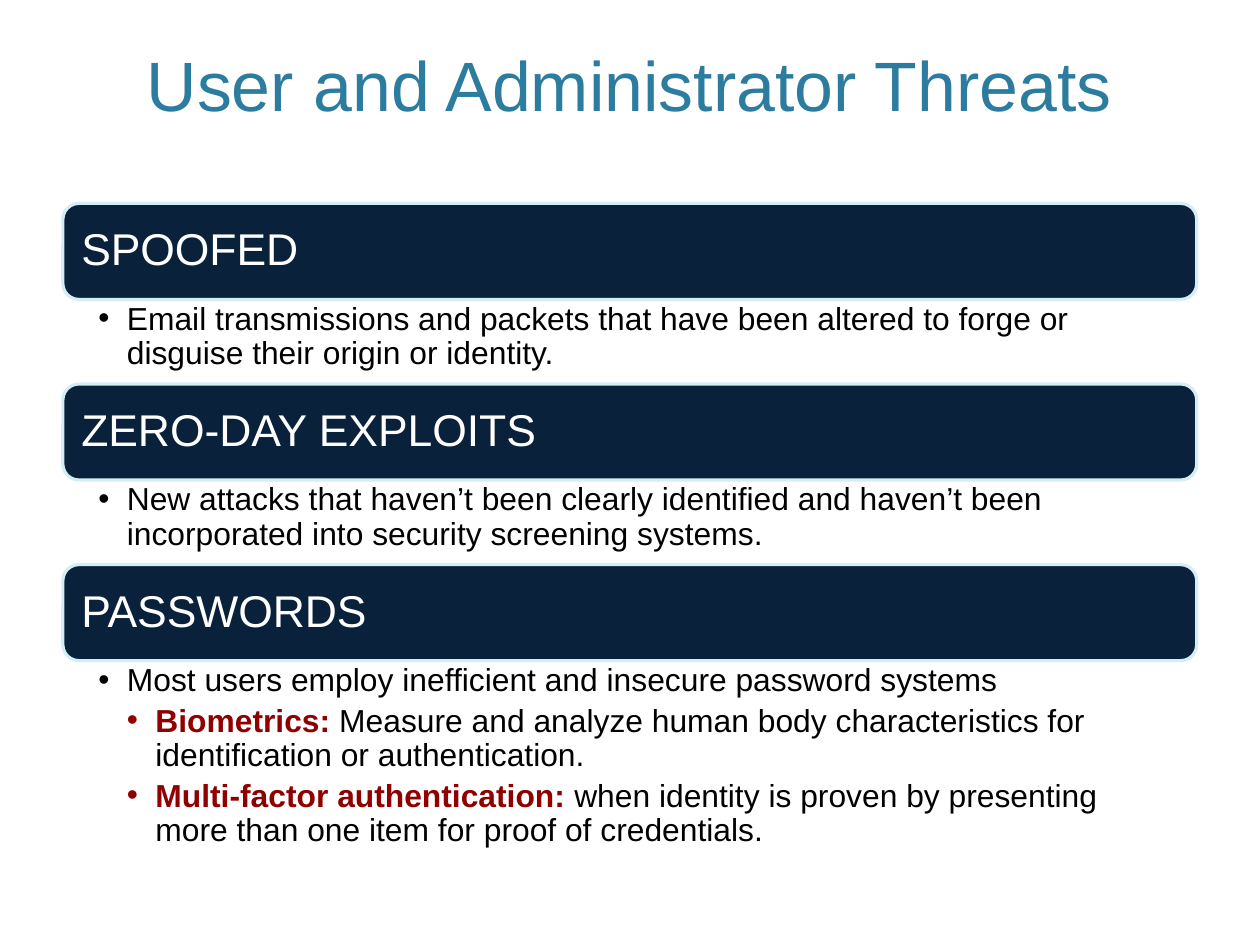
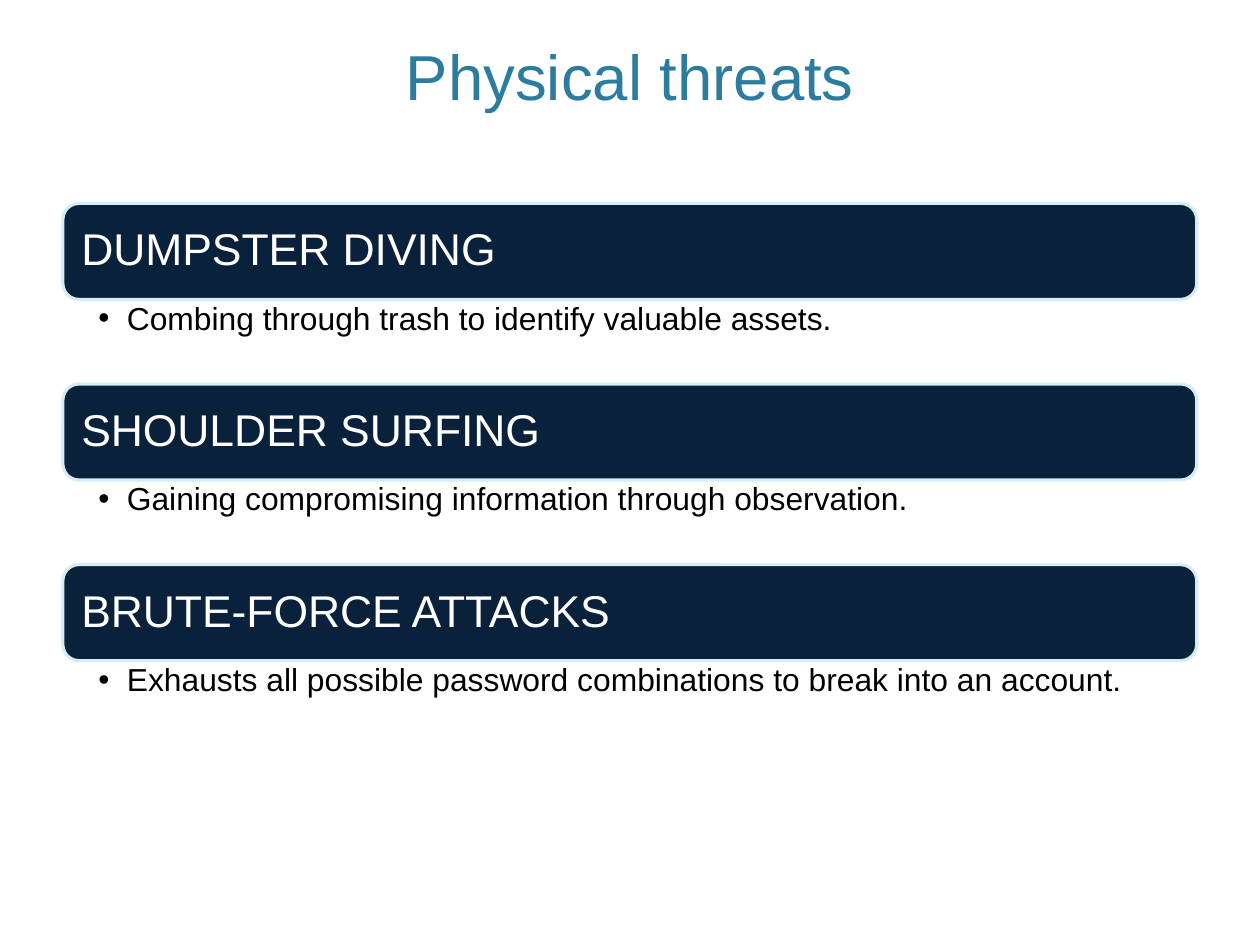
"""Builds two slides of security threats as headed bands with bulleted notes."""
from lxml.etree import SubElement
from pptx import Presentation
from pptx.dml.color import RGBColor
from pptx.enum.shapes import MSO_SHAPE as Shape
from pptx.enum.text import MSO_ANCHOR as Anchor, MSO_AUTO_SIZE as AutoSize, PP_ALIGN as Align
from pptx.oxml.ns import qn
from pptx.util import Cm, Inches, Pt

FONT = "Arial"
TEAL = RGBColor(0x2C, 0x7C, 0x9F)
NAVY = RGBColor(0x09, 0x21, 0x3B)
PALE = RGBColor(0xD5, 0xED, 0xF4)
RED = RGBColor(0x90, 0x00, 0x00)
BLACK = RGBColor(0, 0, 0)
WHITE = RGBColor(0xFF, 0xFF, 0xFF)

SLIDES = [
    {"title": "User and Administrator Threats", "size": 44, "title_top": -0.45, "threats": [
        ("SPOOFED", [(1, "", "Email transmissions and packets that have been altered to forge or "
                             "disguise their origin or identity.")]),
        ("ZERO-DAY EXPLOITS", [(1, "", "New attacks that haven’t been clearly identified and haven’t "
                                       "been incorporated into security screening systems.")]),
        ("PASSWORDS", [
            (1, "", "Most users employ inefficient and insecure password systems"),
            (2, "Biometrics:", " Measure and analyze human body characteristics for "
                               "identification or authentication."),
            (2, "Multi-factor authentication:", " when identity is proven by presenting "
                                                "more than one item for proof of credentials."),
        ]),
    ]},
    {"title": "Physical threats", "size": 40, "title_top": -0.56, "threats": [
        ("DUMPSTER DIVING", [(1, "", "Combing through trash to identify valuable assets.")]),
        ("SHOULDER SURFING", [(1, "", "Gaining compromising information through observation.")]),
        ("BRUTE-FORCE ATTACKS", [(1, "", "Exhausts all possible password combinations to break "
                                         "into an account.")]),
    ]},
]

LEFT, TOP, WIDTH = 0.55, 1.78, 9.92
BAND_HEIGHT, NOTE_HEIGHT, LONG_NOTE_HEIGHT = 0.84, 0.74, 1.72
INDENT = 0.25


def set_frame(frame, anchor, left, top, right, bottom):
    frame.word_wrap = True
    frame.auto_size = AutoSize.NONE
    frame.vertical_anchor = anchor
    frame.margin_left, frame.margin_top = Inches(left), Inches(top)
    frame.margin_right, frame.margin_bottom = Inches(right), Inches(bottom)


def set_font(font, size, color):
    font.name, font.size, font.color.rgb = FONT, Pt(size), color


def add_title(slide, text, size, top):
    title = slide.shapes.title
    title.left, title.top, title.width, title.height = map(Inches, (0.66, top, 9.7, 1.61))
    set_frame(title.text_frame, Anchor.BOTTOM, 0.11, 0.06, 0.11, 0.06)
    title.text_frame.text = text
    para = title.text_frame.paragraphs[0]
    para.alignment = Align.CENTER
    set_font(para.font, size, TEAL)


def add_band(slide, text, top):
    band = slide.shapes.add_shape(
        Shape.ROUNDED_RECTANGLE, *map(Inches, (LEFT, top, WIDTH, BAND_HEIGHT)))
    band.shadow.inherit = False
    band.fill.solid()
    band.fill.fore_color.rgb = NAVY
    band.line.color.rgb, band.line.width = PALE, Pt(2)
    set_frame(band.text_frame, Anchor.MIDDLE, 0.12, 0.12, 0.12, 0.12)
    band.text_frame.text = text
    para = band.text_frame.paragraphs[0]
    para.alignment, para.line_spacing = Align.LEFT, 0.9
    set_font(para.font, 28, WHITE)


def add_bullet(para, level, color):
    props = para._p.get_or_add_pPr()
    props.set("marL", str(Inches(INDENT * level)))
    props.set("indent", str(-Inches(INDENT)))
    SubElement(SubElement(props, qn("a:buClr")), qn("a:srgbClr"), val=str(color))
    SubElement(props, qn("a:buFont"), typeface=FONT)
    SubElement(props, qn("a:buChar"), char="•")


def add_notes(slide, notes, top, height):
    box = slide.shapes.add_textbox(*map(Inches, (LEFT, top, WIDTH, height)))
    frame = box.text_frame
    set_frame(frame, Anchor.TOP, 0.31, 0.03, 0.16, 0.03)
    for index, (level, term, text) in enumerate(notes):
        para = frame.add_paragraph() if index else frame.paragraphs[0]
        para.level = level
        add_bullet(para, level, RED if term else BLACK)
        para.line_spacing, para.space_after = 0.9, Pt(4)
        set_font(para.font, 20, BLACK)
        if term:
            span = para.add_run()
            span.text = term
            span.font.bold, span.font.color.rgb = True, RED
        para.add_run().text = text


def main():
    deck = Presentation()
    deck.slide_width, deck.slide_height = Cm(28), Cm(21)
    for content in SLIDES:
        slide = deck.slides.add_slide(deck.slide_layouts[5])
        add_title(slide, content["title"], content["size"], content["title_top"])
        top = TOP
        for heading, notes in content["threats"]:
            height = LONG_NOTE_HEIGHT if len(notes) > 1 else NOTE_HEIGHT
            add_band(slide, heading, top)
            add_notes(slide, notes, top + BAND_HEIGHT, height)
            top += BAND_HEIGHT + height
    deck.save("out.pptx")


if __name__ == "__main__":
    main()
